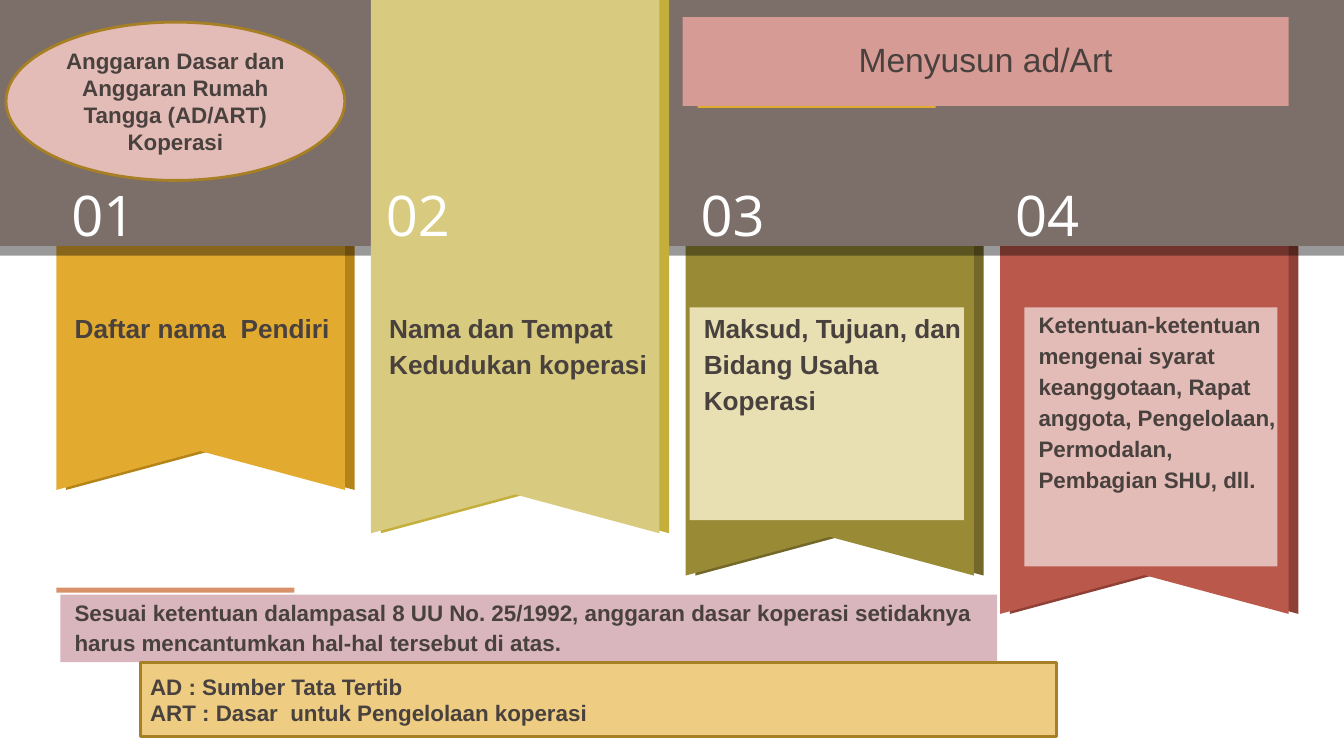
from dataclasses import dataclass

from lxml import etree
from pptx import Presentation
from pptx.dml.color import RGBColor
from pptx.enum.shapes import MSO_SHAPE
from pptx.enum.text import MSO_ANCHOR, MSO_AUTO_SIZE, PP_ALIGN
from pptx.oxml.ns import qn
from pptx.util import Inches, Pt

RECTANGLE, OVAL = MSO_SHAPE.RECTANGLE, MSO_SHAPE.OVAL
TOP, MIDDLE = MSO_ANCHOR.TOP, MSO_ANCHOR.MIDDLE
LEFT, CENTER = PP_ALIGN.LEFT, PP_ALIGN.CENTER
NO_AUTOFIT = MSO_AUTO_SIZE.NONE


@dataclass(frozen=True)
class Theme:
    font: str = "Arial"
    number_font: str = "Open Sans"
    text: str = "49413E"
    white: str = "FFFFFF"
    black: str = "000000"
    band: str = "7C6E69"
    title_fill: str = "D69B94"
    gold: str = "E2AB30"
    orange: str = "D89168"
    outline: str = "A77F24"
    pink: str = "E4BCB7"
    cream: str = "E8DFB2"
    mauve: str = "D9B6BD"
    sand: str = "EECD83"
    number_size: float = 40
    title_size: float = 24
    card_size: float = 18.7
    small_size: float = 16


THEME = Theme()
BANNER_LEFT, BANNER_STEP, BANNER_WIDTH = 0.56, 3.12, 2.86
NOTCH_DEPTH = 0.385
BAND_HEIGHT = 2.44
BANNERS = [
    (BAND_HEIGHT, 4.86, THEME.gold, "B48419"),
    (0, 5.29, "D8CA7E", "C4AF3C"),
    (BAND_HEIGHT, 5.71, "998B36", "736829"),
    (BAND_HEIGHT, 6.09, "BB584C", "8F4036"),
]
CARDS = [
    ((0.6, 3.05, 2.72, 1.32), "Daftar nama  Pendiri", THEME.card_size, None),
    ((3.72, 3.05, 2.72, 1.81), "Nama dan Tempat Kedudukan koperasi", THEME.card_size, None),
    ((6.84, 3.05, 2.72, 2.11), "Maksud, Tujuan, dan Bidang Usaha Koperasi",
     THEME.card_size, THEME.cream),
    ((10.16, 3.05, 2.51, 2.57),
     "Ketentuan-ketentuan mengenai syarat keanggotaan, Rapat anggota, "
     "Pengelolaan, Permodalan, Pembagian SHU, dll.", THEME.small_size, THEME.pink),
]
NOTE = ("Sesuai ketentuan dalampasal 8 UU No. 25/1992, anggaran dasar koperasi "
        "setidaknya harus mencantumkan hal-hal tersebut di atas.")


def set_fill(shape, color):
    shape.fill.solid()
    shape.fill.fore_color.rgb = RGBColor.from_string(color)


def add_hard_shadow(shape, color, degrees, opacity):
    shape.shadow.inherit = False
    effects = shape._element.spPr.find(qn("a:effectLst"))
    shadow = etree.SubElement(effects, qn("a:outerShdw"), blurRad="0", dist=str(Pt(7)),
                              dir=str(degrees * 60000), algn="l", rotWithShape="0")
    shadow_color = etree.SubElement(shadow, qn("a:srgbClr"), val=color)
    etree.SubElement(shadow_color, qn("a:alpha"), val=str(opacity * 1000))


def write_text(shape, lines, size, color=THEME.text, font=THEME.font, bold=True,
               align=LEFT, anchor=TOP, spacing=1.0, inset=None):
    frame = shape.text_frame
    frame.text = "\n".join(lines)
    frame.word_wrap = True
    frame.auto_size = NO_AUTOFIT
    frame.vertical_anchor = anchor
    if inset is not None:
        frame.margin_left = frame.margin_right = Inches(inset)
        frame.margin_top = frame.margin_bottom = Inches(inset)
    for paragraph in frame.paragraphs:
        paragraph.alignment = align
        paragraph.line_spacing = spacing
        paragraph.space_before = paragraph.space_after = Pt(0)
        paragraph.font.size = Pt(size)
        paragraph.font.name = font
        paragraph.font.bold = bold
        paragraph.font.color.rgb = RGBColor.from_string(color)


def add_block(slide, kind, box, color, outline=None):
    shape = slide.shapes.add_shape(kind, *map(Inches, box))
    shape.shadow.inherit = False
    set_fill(shape, color)
    if outline:
        shape.line.color.rgb = RGBColor.from_string(outline)
        shape.line.width = Pt(2)
    else:
        shape.line.fill.background()
    return shape


def add_banner(slide, column):
    top, bottom, color, shadow_color = BANNERS[column]
    left = BANNER_LEFT + column * BANNER_STEP
    right = left + BANNER_WIDTH
    corners = [(right, top), (right, bottom),
               (left + BANNER_WIDTH / 2, bottom - NOTCH_DEPTH), (left, bottom)]
    builder = slide.shapes.build_freeform(Inches(left), Inches(top))
    builder.add_line_segments([(Inches(x), Inches(y)) for x, y in corners], close=True)
    banner = builder.convert_to_shape()
    set_fill(banner, color)
    banner.line.fill.background()
    add_hard_shadow(banner, shadow_color, 0, 100)


def add_number(slide, column):
    left = BANNER_LEFT + column * BANNER_STEP + 0.05
    box = slide.shapes.add_textbox(Inches(left), Inches(1.74), Inches(2.02), Inches(0.77))
    write_text(box, [f"{column + 1:02d}"], THEME.number_size, THEME.white,
               THEME.number_font, bold=False)


def place(placeholder, box, color=None):
    placeholder.left, placeholder.top, placeholder.width, placeholder.height = map(Inches, box)
    if color:
        set_fill(placeholder, color)
    element = placeholder._element
    element.getparent().append(element)


def write_card(shape, text, size):
    write_text(shape, [text], size, spacing=1.15, inset=0)
    for paragraph in shape.text_frame.paragraphs:
        properties = paragraph._p.get_or_add_pPr()
        properties.set("marL", str(Inches(0.14)))
        properties.set("indent", "0")
        etree.SubElement(properties, qn("a:buNone"))
        properties.append(properties.find(qn("a:defRPr")))


def main():
    presentation = Presentation()
    presentation.slide_width, presentation.slide_height = Inches(13.33), Inches(7.5)
    slide = presentation.slides.add_slide(presentation.slide_layouts.get_by_name("Comparison"))
    title, *bodies = list(slide.placeholders)

    for column in (0, 2, 3):
        add_banner(slide, column)
    band = add_block(slide, RECTANGLE, (0, 0, 13.33, BAND_HEIGHT), THEME.band)
    add_hard_shadow(band, THEME.black, 90, 40)
    add_banner(slide, 1)
    for column in range(len(BANNERS)):
        add_number(slide, column)
    add_block(slide, RECTANGLE, (6.92, 1.02, 2.36, 0.05), THEME.gold)
    add_block(slide, RECTANGLE, (0.56, 5.83, 2.36, 0.05), THEME.orange)

    place(title, (6.77, 0.17, 6.01, 0.88), THEME.title_fill)
    write_text(title, ["Menyusun ad/Art"], THEME.title_size, bold=False,
               align=CENTER, anchor=MIDDLE, spacing=0.9, inset=0)
    for body, (box, text, size, color) in zip(bodies, CARDS):
        place(body, box, color)
        write_card(body, text, size)
    note = add_block(slide, RECTANGLE, (0.6, 5.9, 9.29, 0.67), THEME.mauve)
    write_card(note, NOTE, THEME.small_size)

    topic = add_block(slide, OVAL, (0.06, 0.22, 3.36, 1.57), THEME.pink, THEME.outline)
    write_text(topic, ["Anggaran Dasar dan Anggaran Rumah Tangga (AD/ART)", "Koperasi"],
               THEME.small_size, align=CENTER, anchor=MIDDLE)
    summary = add_block(slide, RECTANGLE, (1.39, 6.57, 9.09, 0.74), THEME.sand, THEME.outline)
    write_text(summary, ["AD : Sumber Tata Tertib", "ART : Dasar  untuk Pengelolaan koperasi"],
               THEME.small_size, anchor=MIDDLE)

    presentation.save("out.pptx")


if __name__ == "__main__":
    main()
